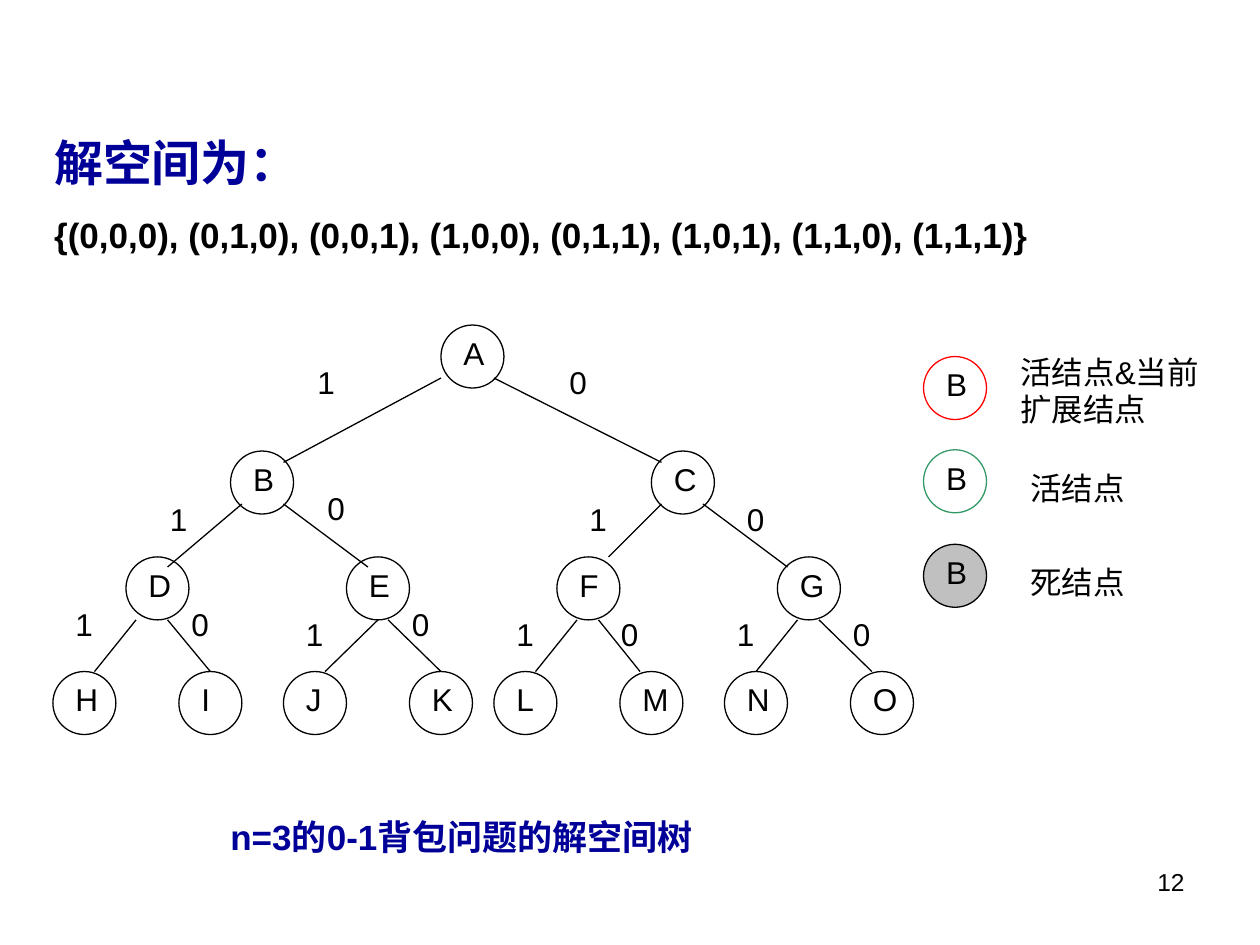
from typing import NamedTuple

from lxml.etree import SubElement
from pptx import Presentation
from pptx.dml.color import RGBColor
from pptx.enum.shapes import MSO_CONNECTOR, MSO_SHAPE
from pptx.enum.text import MSO_ANCHOR, MSO_AUTO_SIZE, PP_ALIGN
from pptx.oxml.ns import qn
from pptx.util import Inches, Pt

FONT = "Arial"
BLACK, NAVY, RED, GREEN, GRAY = "000000", "000099", "FF0000", "339966", "C0C0C0"
DIAMETER = 0.5
LABEL_W, LABEL_H = 0.42, 0.4


class Level(NamedTuple):
    top: float
    names: str
    lefts: tuple[float, ...]


class Edge(NamedTuple):
    x1: float
    y1: float
    x2: float
    y2: float
    bit: str
    label_x: float
    label_y: float


class LegendItem(NamedTuple):
    top: float
    line: str
    fill: str | None
    text: str
    box: tuple[float, float, float, float]


LEVELS = [
    Level(2.58, "A", (3.5,)),
    Level(3.58, "BC", (1.83, 5.17)),
    Level(4.42, "DEFG", (1, 2.75, 4.42, 6.17)),
    Level(5.33, "HIJKLMNO", (0.42, 1.42, 2.25, 3.25, 3.92, 4.92, 5.75, 6.75)),
]

EDGES = [
    Edge(3.5, 3, 2.25, 3.67, "1", 2.42, 2.83),
    Edge(3.92, 3, 5.25, 3.67, "0", 4.42, 2.83),
    Edge(1.92, 4, 1.33, 4.5, "1", 1.25, 3.92),
    Edge(2.25, 4, 2.92, 4.5, "0", 2.5, 3.83),
    Edge(5.25, 4, 4.83, 4.42, "1", 4.58, 3.92),
    Edge(5.58, 4, 6.25, 4.5, "0", 5.83, 3.92),
    Edge(1.08, 4.92, 0.75, 5.33, "1", 0.5, 4.75),
    Edge(1.33, 4.92, 1.67, 5.33, "0", 1.42, 4.75),
    Edge(3, 4.92, 2.58, 5.33, "1", 2.33, 4.83),
    Edge(3.08, 4.92, 3.5, 5.33, "0", 3.17, 4.75),
    Edge(4.58, 4.92, 4.25, 5.33, "1", 4, 4.83),
    Edge(4.75, 4.92, 5.08, 5.33, "0", 4.83, 4.83),
    Edge(6.33, 4.92, 6, 5.33, "1", 5.75, 4.83),
    Edge(6.5, 4.92, 6.92, 5.33, "0", 6.67, 4.83),
]

LEGEND = [
    LegendItem(2.83, RED, None, "活结点&当前扩展结点", (8, 2.75, 1.83, 0.7)),
    LegendItem(3.57, GREEN, None, "活结点", (8.08, 3.67, 1.67, 0.4)),
    LegendItem(4.32, BLACK, GRAY, "死结点", (8.08, 4.42, 1.67, 0.4)),
]


def rgb(color: str) -> RGBColor:
    return RGBColor.from_string(color)


def write(p, text: str, *, size: float = 18, color: str = BLACK,
          bold: bool = False, align=PP_ALIGN.LEFT) -> None:
    p.alignment = align
    r = p.add_run()
    r.text = text
    r.font.name = FONT
    r.font.size = Pt(size)
    r.font.bold = bold
    r.font.color.rgb = rgb(color)


def add_text(shapes, text: str, x: float, y: float, w: float = LABEL_W,
             h: float = LABEL_H, **fmt) -> None:
    tf = shapes.add_textbox(Inches(x), Inches(y), Inches(w), Inches(h)).text_frame
    tf.word_wrap = True
    write(tf.paragraphs[0], text, **fmt)


def add_node(shapes, name: str, x: float, y: float, line: str = BLACK,
             fill: str | None = None) -> None:
    sp = shapes.add_shape(MSO_SHAPE.OVAL, Inches(x), Inches(y),
                          Inches(DIAMETER), Inches(DIAMETER))
    sp.shadow.inherit = False
    sp.line.color.rgb = rgb(line)
    sp.line.width = Pt(0.75)
    if fill:
        sp.fill.solid()
        sp.fill.fore_color.rgb = rgb(fill)
    else:
        sp.fill.background()
    add_text(shapes, name, x + 0.08, y + 0.02)


def add_edge(shapes, edge: Edge) -> None:
    line = shapes.add_connector(MSO_CONNECTOR.STRAIGHT, Inches(edge.x1), Inches(edge.y1),
                                Inches(edge.x2), Inches(edge.y2))
    line.line.color.rgb = rgb(BLACK)
    line.line.width = Pt(0.75)
    SubElement(line._element.spPr, qn("a:effectLst"))
    add_text(shapes, edge.bit, edge.label_x, edge.label_y)


def fill_title(title) -> None:
    title.left, title.top = Inches(0.33), Inches(1)
    title.width, title.height = Inches(9.33), Inches(1.08)
    tf = title.text_frame
    tf.word_wrap = True
    tf.auto_size = MSO_AUTO_SIZE.NONE
    tf.vertical_anchor = MSO_ANCHOR.TOP
    write(tf.paragraphs[0], "解空间为：", size=28, color=NAVY, bold=True)
    p = tf.add_paragraph()
    p.space_before = Pt(12.5)
    write(p, "{(0,0,0), (0,1,0), (0,0,1), (1,0,0), (0,1,1), (1,0,1), (1,1,0), (1,1,1)}",
          size=20, bold=True)


def main() -> None:
    prs = Presentation()
    prs.slide_width, prs.slide_height = Inches(10), Inches(7.5)
    shapes = prs.slides.add_slide(prs.slide_layouts[5]).shapes
    fill_title(shapes.title)

    tree = shapes.add_group_shape().shapes
    for level in LEVELS:
        for name, left in zip(level.names, level.lefts):
            add_node(tree, name, left, level.top)
    for edge in EDGES:
        add_edge(tree, edge)

    add_text(shapes, "n=3的0-1背包问题的解空间树", 0.83, 6.42, 5.67, 0.44,
             size=20, color=NAVY, bold=True, align=PP_ALIGN.CENTER)

    legend = shapes.add_group_shape().shapes
    for item in LEGEND:
        add_node(legend, "B", 7.33, item.top, item.line, item.fill)
        add_text(legend, item.text, *item.box)

    add_text(shapes, "12", 7.17, 6.83, 2.33, 0.52, size=14, align=PP_ALIGN.RIGHT)
    prs.save("out.pptx")


if __name__ == "__main__":
    main()
